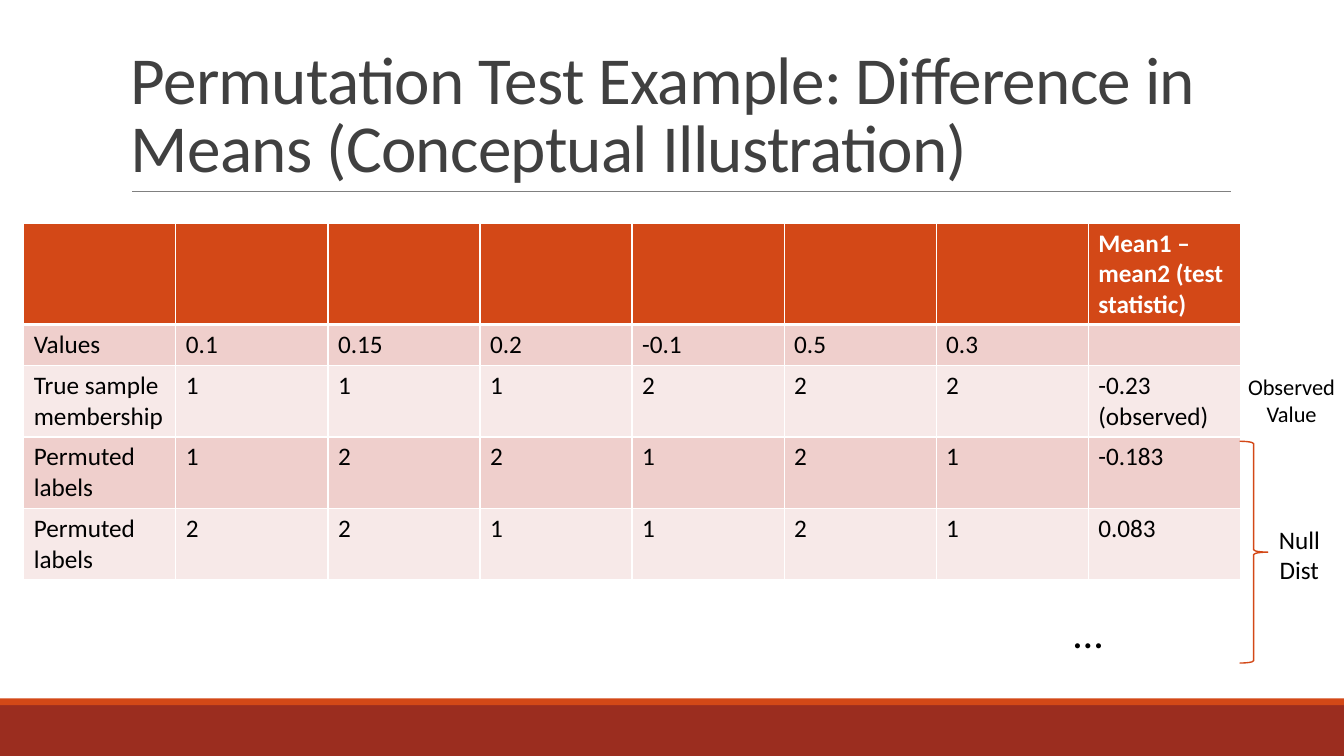
from lxml.etree import SubElement
from pptx import Presentation
from pptx.dml.color import RGBColor
from pptx.enum.shapes import MSO_CONNECTOR, MSO_SHAPE
from pptx.enum.text import MSO_ANCHOR, PP_ALIGN
from pptx.oxml.ns import qn
from pptx.util import Cm, Pt

WIDTH, HEIGHT = 33.87, 19.05
ORANGE, RED, WHITE = "D34817", "9B2D1F", "FFFFFF"
BANDS = ["EFCFCC", "F7E9E8"]
ROWS = [
    ["", "", "", "", "", "", "", "Mean1 – mean2 (test statistic)"],
    ["Values", "0.1", "0.15", "0.2", "-0.1", "0.5", "0.3", ""],
    ["True sample membership", "1", "1", "1", "2", "2", "2", "-0.23\n(observed)"],
    ["Permuted labels", "1", "2", "2", "1", "2", "1", "-0.183"],
    ["Permuted labels", "2", "2", "1", "1", "2", "1", "0.083"],
]
ROW_HEIGHTS = [2.56, 1.03, 1.8, 1.8, 1.8]


def rgb(value):
    return RGBColor.from_string(value)


def write(tf, text, size=18, color="000000", bold=False, align=PP_ALIGN.LEFT,
          line_spacing=None, tracking=None):
    tf.word_wrap = True
    for i, line in enumerate(text.split("\n")):
        p = tf.add_paragraph() if i else tf.paragraphs[0]
        p.alignment = align
        if line_spacing:
            p.line_spacing = line_spacing
        r = p.add_run()
        r.text = line
        r.font.name = "Calibri"
        r.font.size = Pt(size)
        r.font.bold = bold
        r.font.color.rgb = rgb(color)
        if tracking:
            r._r.get_or_add_rPr().set("spc", str(int(tracking * 100)))


def add_text(s, text, x, y, w, h, anchor=MSO_ANCHOR.TOP, **fmt):
    tf = s.shapes.add_textbox(Cm(x), Cm(y), Cm(w), Cm(h)).text_frame
    tf.vertical_anchor = anchor
    write(tf, text, **fmt)


def add_bar(s, x, y, w, h, color):
    sp = s.shapes.add_shape(MSO_SHAPE.RECTANGLE, Cm(x), Cm(y), Cm(w), Cm(h))
    sp.shadow.inherit = False
    sp.fill.solid()
    sp.fill.fore_color.rgb = rgb(color)
    sp.line.fill.background()


def add_footer(s, x, y, w, h):
    stripe = 0.17
    add_bar(s, x, y + stripe, w, h - stripe, RED)
    add_bar(s, x, y, w, stripe, ORANGE)


def add_title(s, x, y, w, h):
    # Rule under the title
    rule_x, rule_y = Cm(x + 0.28), Cm(y + h)
    rule = s.shapes.add_connector(MSO_CONNECTOR.STRAIGHT, rule_x, rule_y,
                                  Cm(x + w + 0.03), rule_y)
    rule.line.color.rgb = rgb("808080")
    rule.line.width = Pt(0.5)
    SubElement(rule._element.spPr, qn("a:effectLst"))

    add_text(s, "Permutation Test Example: Difference in Means "
             "(Conceptual Illustration)", x, y, w, h, anchor=MSO_ANCHOR.BOTTOM,
             size=48, color="404040", line_spacing=0.85, tracking=-0.5)


def set_borders(cell, **widths):
    tcPr = cell._tc.get_or_add_tcPr()
    for side in "LRTB":
        ln = SubElement(tcPr, qn(f"a:ln{side}"), w=str(Pt(widths.get(side, 1))))
        fill = SubElement(ln, qn("a:solidFill"))
        SubElement(fill, qn("a:srgbClr"), val=WHITE)


def add_permutation_table(s, x, y, w):
    cols = len(ROWS[0])
    table = s.shapes.add_table(len(ROWS), cols, Cm(x), Cm(y), Cm(w),
                               Cm(sum(ROW_HEIGHTS))).table
    for col in table.columns:
        col.width = Cm(w / cols)
    for i, row in enumerate(ROWS):
        table.rows[i].height = Cm(ROW_HEIGHTS[i])
        header = i == 0
        for j, text in enumerate(row):
            cell = table.cell(i, j)
            # The line between header and body is thicker
            set_borders(cell, T=3 if i == 1 else 1, B=3 if header else 1)
            cell.fill.solid()
            cell.fill.fore_color.rgb = rgb(ORANGE if header else BANDS[(i - 1) % 2])
            if text:
                write(cell.text_frame, text, bold=header,
                      color=WHITE if header else "000000")


def add_annotations(s, x, y):
    center = PP_ALIGN.CENTER
    # More permutations follow
    add_text(s, "…", x - 5.46, y + 5.89, 3.28, 1.55, size=30, align=center)

    # Brace around the permuted statistics
    brace = s.shapes.add_shape(MSO_SHAPE.RIGHT_BRACE, Cm(x), Cm(y + 1.85),
                               Cm(0.71), Cm(5.59))
    brace.shadow.inherit = False
    brace.fill.background()
    brace.line.color.rgb = rgb(ORANGE)
    brace.line.width = Pt(1)
    add_text(s, "Null Dist", x + 0.36, y + 3.81, 2.29, 1.8, align=center)

    # Label of the observed row
    add_text(s, "Observed\nValue", x - 0.38, y, 3.38, 1.63, size=16, align=center)


def main():
    prs = Presentation()
    prs.slide_width, prs.slide_height = Cm(WIDTH), Cm(HEIGHT)
    s = prs.slides.add_slide(prs.slide_layouts[6])
    add_footer(s, 0, 17.6, WIDTH, HEIGHT - 17.6)
    add_title(s, 3.05, 0.79, 27.94, 4.04)
    add_permutation_table(s, 0.6, 5.62, 30.66)
    add_annotations(s, 31.24, 9.27)
    prs.save("out.pptx")


if __name__ == "__main__":
    main()
